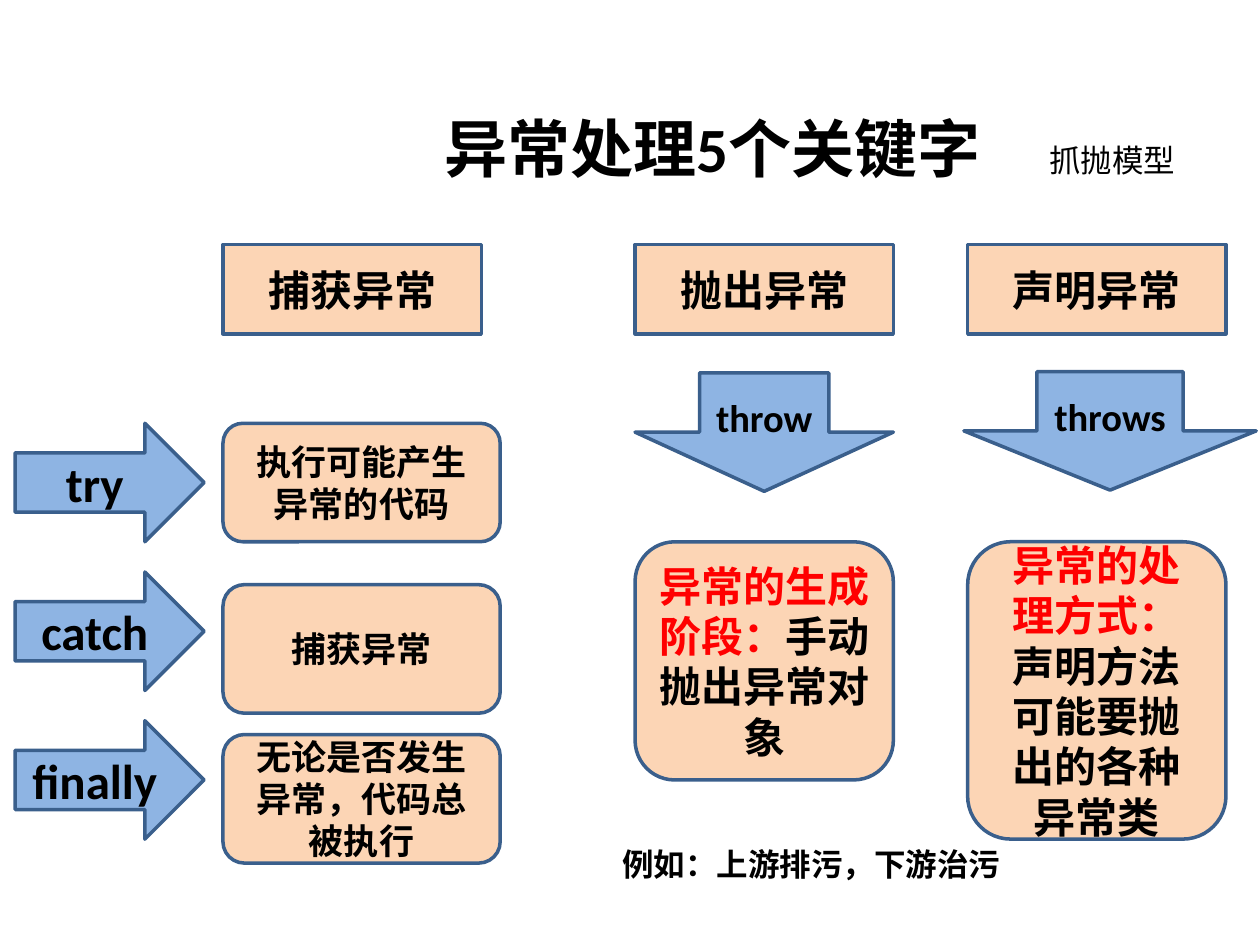
from pptx import Presentation
from pptx.dml.color import RGBColor
from pptx.enum.shapes import MSO_SHAPE as Kind
from pptx.enum.text import MSO_ANCHOR as Anchor, PP_ALIGN as Align
from pptx.util import Inches, Pt

PEACH, BLUE, EDGE = "FCD5B5", "8EB4E3", "3A5F8C"
BLACK, RED = "000000", "FF0000"


def color(code):
    return RGBColor.from_string(code)


def write(para, text, size, tint=BLACK, bold=True, face="Calibri"):
    run = para.add_run()
    run.text = text
    font = run.font
    font.name, font.size, font.bold = face, Pt(size), bold
    font.color.rgb = color(tint)


def label(slide, box, text, size, **style):
    frame = slide.shapes.add_textbox(*map(Inches, box)).text_frame
    frame.word_wrap = True
    write(frame.paragraphs[0], text, size, **style)


def block(slide, kind, box, fill, size, *parts):
    shape = slide.shapes.add_shape(kind, *map(Inches, box))
    shape.shadow.inherit = False
    shape.fill.solid()
    shape.fill.fore_color.rgb = color(fill)
    shape.line.color.rgb = color(EDGE)
    shape.line.width = Pt(2)
    frame = shape.text_frame
    frame.word_wrap = True
    frame.vertical_anchor = Anchor.MIDDLE
    para = frame.paragraphs[0]
    para.alignment = Align.CENTER
    for text, tint in parts:
        write(para, text, size, tint)


def header(slide, left, top, text):
    block(slide, Kind.RECTANGLE, (left, top, 2.05, 0.71), PEACH, 24, (text, BLACK))


def catching(slide, left, top):
    header(slide, left + 1.65, top, "捕获异常")
    rows = [
        ("try", "执行可能产生异常的代码", 1.42, 0.94),
        ("catch", "捕获异常", 2.7, 1.02),
        ("finally", "无论是否发生异常，代码总被执行", 3.89, 1.02),
    ]
    for i, (word, text, drop, high) in enumerate(rows):
        arrow = (left, top + 1.42 + i * 1.18, 1.5, 0.94)
        block(slide, Kind.RIGHT_ARROW, arrow, BLUE, 28, (word, BLACK))
        card = (left + 1.65, top + drop, 2.2, high)
        block(slide, Kind.ROUNDED_RECTANGLE, card, PEACH, 20, (text, BLACK))


def column(slide, left, top, high, title, word, arrow, lead, text):
    header(slide, left, top, title)
    block(slide, Kind.DOWN_ARROW, arrow, BLUE, 22, (word, BLACK))
    card = (left, top + 2.36, 2.05, high)
    block(slide, Kind.ROUNDED_RECTANGLE, card, PEACH, 24, (lead, RED), (text, BLACK))


def main():
    deck = Presentation()
    deck.slide_width, deck.slide_height = Inches(10), Inches(7.5)
    slide = deck.slides.add_slide(deck.slide_layouts[6])
    label(slide, (3.43, 0.82, 5.28, 0.71), "异常处理5个关键字", 36)
    catching(slide, 0.12, 1.94)
    column(slide, 5.04, 1.94, 1.89, "抛出异常", "throw", (5.04, 2.96, 2.05, 0.94),
           "异常的生成阶段：", "手动抛出异常对象")
    column(slide, 7.68, 1.94, 2.36, "声明异常", "throws", (7.65, 2.95, 2.32, 0.94),
           "异常的处理方式：", "声明方法可能要抛出的各种异常类")
    label(slide, (4.84, 6.66, 3.62, 0.4), "例如：上游排污，下游治污", 18,
          face="Noto Sans CJK SC")
    label(slide, (8.23, 1.07, 1.42, 0.4), "抓抛模型", 18, bold=False)
    deck.save("out.pptx")


if __name__ == "__main__":
    main()
